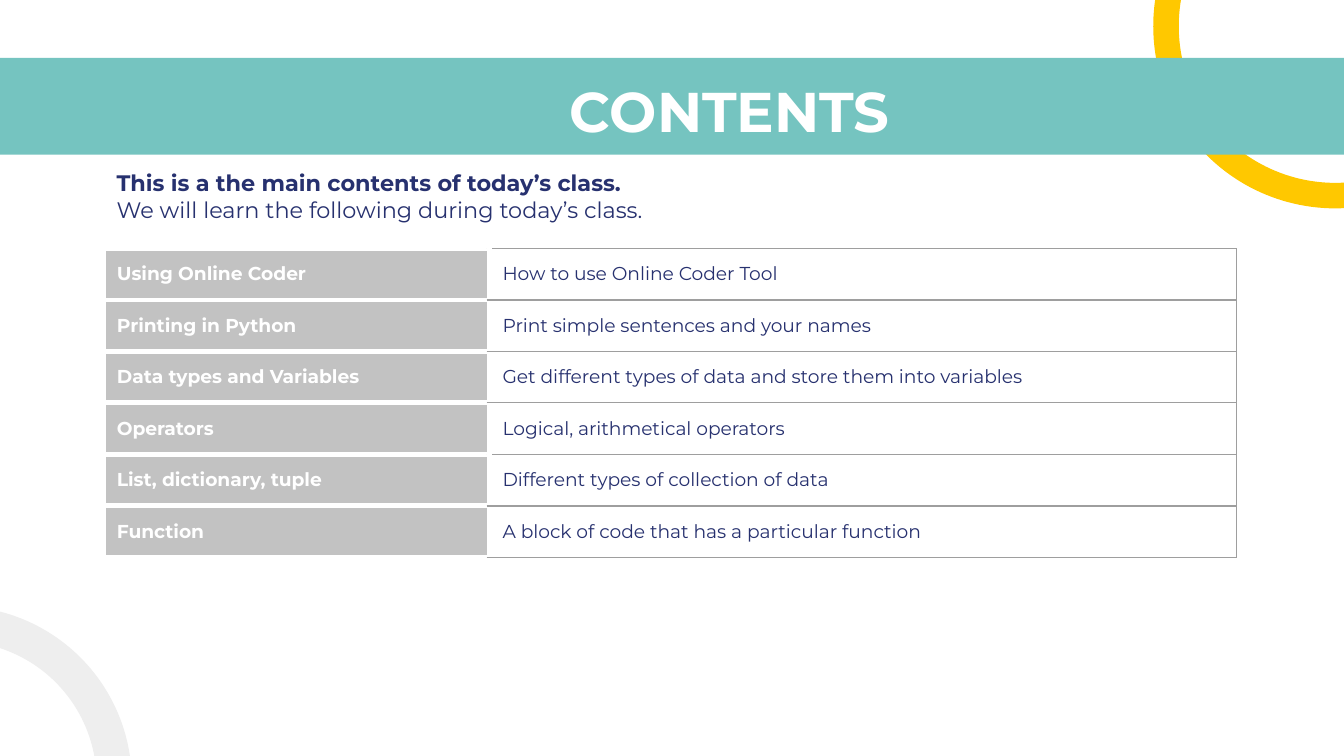
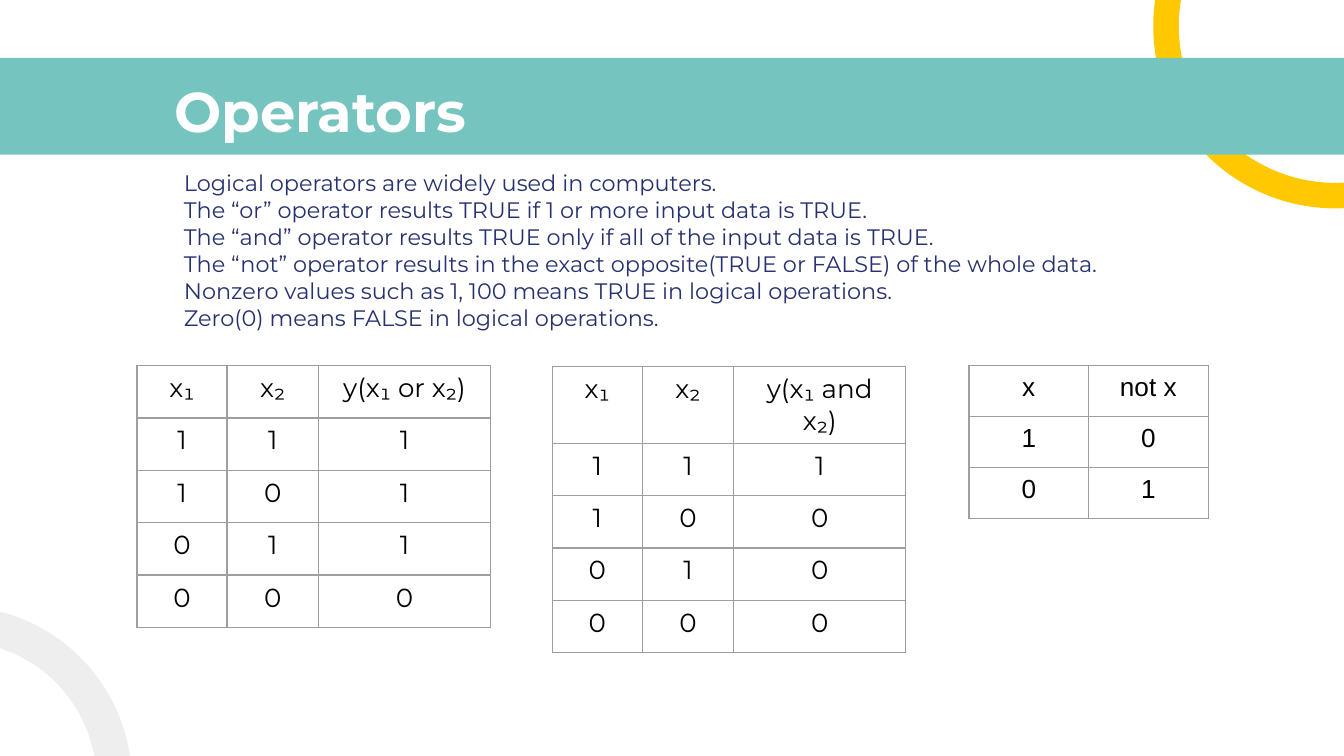
from lxml.etree import SubElement
from pptx import Presentation
from pptx.dml.color import RGBColor
from pptx.enum.shapes import MSO_SHAPE
from pptx.enum.text import MSO_ANCHOR, PP_ALIGN
from pptx.oxml.ns import qn
from pptx.util import Inches, Pt

COLORS = {
    "white": "FFFFFF",
    "teal": "75C4C0",
    "yellow": "FFC800",
    "pale": "EEEEEE",
    "navy": "27316F",
    "label": "C2C2C2",
    "rule": "9E9E9E",
    "black": "000000",
}
FONT = "Montserrat"

CONTENTS_INTRO = [
    "This is a the main contents of today’s class.",
    "We will learn the following during today’s class.",
]
# top, height, rows
TOPIC_TABLES = [
    (1.85, 1.53, [
        ("Using Online Coder", "How to use Online Coder Tool"),
        ("Printing in Python", "Print simple sentences and your names"),
        ("Data types and Variables", "Get different types of data and store them into variables"),
        ("Operators", "Logical, arithmetical operators"),
    ]),
    (3.38, 0.77, [
        ("List, dictionary, tuple", "Different types of collection of data"),
        ("Function", "A block of code that has a particular function"),
    ]),
]
TOPIC_COLUMNS = [2.87, 5.56]

OPERATOR_NOTES = [
    "Logical operators are widely used in computers.",
    "The “or” operator results TRUE if 1 or more input data is TRUE.",
    "The “and” operator results TRUE only if all of the input data is TRUE.",
    "The “not” operator results in the exact opposite(TRUE or FALSE) of the whole data.",
    "Nonzero values such as 1, 100 means TRUE in logical operations.",
    "Zero(0) means FALSE in logical operations.",
]
# left, top, row height, column widths, font, rows
TRUTH_TABLES = [
    (1.02, 2.72, 0.39, [0.67, 0.68, 1.28], FONT,
     [("x₁", "x₂", "y(x₁ or x₂)"), "111", "101", "011", "000"]),
    (4.11, 2.73, 0.39, [0.67, 0.68, 1.28], FONT,
     [("x₁", "x₂", "y(x₁ and x₂)"), "111", "100", "010", "000"]),
    (7.21, 2.72, 0.38, [0.89, 0.89], "Arial",
     [("x", "not x"), "10", "01"]),
]


def color(name):
    return RGBColor.from_string(COLORS[name])


def style_text(paragraph, size, color_name, bold=False, font=FONT):
    for run in paragraph.runs:
        run.font.name = font
        run.font.size = Pt(size)
        run.font.bold = bold
        run.font.color.rgb = color(color_name)


def add_decoration(slide, kind, box, fill, rotation=0, adjustments=()):
    shape = slide.shapes.add_shape(kind, *map(Inches, box))
    shape.shadow.inherit = False
    shape.fill.solid()
    shape.fill.fore_color.rgb = color(fill)
    shape.line.fill.background()
    shape.rotation = rotation
    for index, value in enumerate(adjustments):
        shape.adjustments[index] = value


def add_text(slide, box, lines):
    frame = slide.shapes.add_textbox(*map(Inches, box)).text_frame
    frame.word_wrap = True
    frame.margin_left = frame.margin_right = Inches(0.1)
    frame.margin_top = frame.margin_bottom = Inches(0.1)
    frame.text = "\n".join(lines)
    return frame.paragraphs


def add_base_slide(presentation, title, alignment):
    """Add a blank slide with the arcs, the band and its title."""
    slide = presentation.slides.add_slide(presentation.slide_layouts[6])
    add_decoration(slide, MSO_SHAPE.BLOCK_ARC, (8.58, -1.16, 2.71, 2.71), "yellow",
                   180, (159.04, 7.23, 0.07))
    add_decoration(slide, MSO_SHAPE.RECTANGLE, (-0.17, 0.43, 10.34, 0.72), "teal")
    add_decoration(slide, MSO_SHAPE.BLOCK_ARC, (-1.63, 4.51, 2.61, 2.61), "pale",
                   74.3, (125.82, 166.85, 0.1))
    paragraph = add_text(slide, (1.2, 0.47, 8.46, 0.63), [title])[0]
    paragraph.alignment = alignment
    style_text(paragraph, 30, "white", bold=True)
    return slide


def set_borders(cell, borders):
    """Draw left, right, top and bottom borders, each a (color name, points) pair."""
    properties = cell._tc.get_or_add_tcPr()
    for side, (color_name, width) in zip("LRTB", borders):
        line = SubElement(properties, qn(f"a:ln{side}"), w=str(Pt(width)))
        fill = SubElement(line, qn("a:solidFill"))
        SubElement(fill, qn("a:srgbClr"), val=COLORS[color_name])


def add_plain_table(slide, left, top, height, widths, rows):
    """Add an unstyled table and return its cells row by row."""
    table = slide.shapes.add_table(
        len(rows), len(widths), Inches(left), Inches(top),
        Inches(sum(widths)), Inches(height)).table
    table.first_row = table.horz_banding = False
    for column, width in zip(table.columns, widths):
        column.width = Inches(width)
    for row, values in zip(table.rows, rows):
        for cell, value in zip(row.cells, values):
            cell.text = value
    return [list(row.cells) for row in table.rows]


def add_topic_table(slide, top, height, rows):
    gap, rule = ("white", 3), ("rule", 0.75)
    for label, detail in add_plain_table(slide, 0.77, top, height, TOPIC_COLUMNS, rows):
        for cell in (label, detail):
            cell.vertical_anchor = MSO_ANCHOR.MIDDLE
            cell.margin_top = cell.margin_bottom = Inches(0.1)
        set_borders(label, [gap] * 4)
        label.fill.solid()
        label.fill.fore_color.rgb = color("label")
        style_text(label.text_frame.paragraphs[0], 10, "white", bold=True)
        set_borders(detail, [gap, rule, rule, rule])
        detail.fill.background()
        paragraph = detail.text_frame.paragraphs[0]
        paragraph.space_after = Pt(16)
        style_text(paragraph, 10, "navy")


def add_truth_table(slide, left, top, row_height, widths, font, rows):
    for cells in add_plain_table(slide, left, top, row_height * len(rows), widths, rows):
        for cell in cells:
            set_borders(cell, [("rule", 0.75)] * 4)
            cell.fill.background()
            paragraph = cell.text_frame.paragraphs[0]
            paragraph.alignment = PP_ALIGN.CENTER
            style_text(paragraph, 14, "black", font=font)


def build_contents(presentation):
    slide = add_base_slide(presentation, "CONTENTS", PP_ALIGN.CENTER)
    paragraphs = add_text(slide, (0.77, 1.16, 8.46, 0.55), CONTENTS_INTRO)
    for index, paragraph in enumerate(paragraphs):
        style_text(paragraph, 12, "navy", bold=index == 0)
    for topic_table in TOPIC_TABLES:
        add_topic_table(slide, *topic_table)


def build_operators(presentation):
    slide = add_base_slide(presentation, "Operators", PP_ALIGN.LEFT)
    for paragraph in add_text(slide, (0.77, 1.16, 8.46, 1.66), OPERATOR_NOTES):
        paragraph._p.get_or_add_pPr().set("marL", str(Inches(0.5)))
        style_text(paragraph, 12, "navy")
    for truth_table in TRUTH_TABLES:
        add_truth_table(slide, *truth_table)


def main():
    presentation = Presentation()
    presentation.slide_width = Inches(10)
    presentation.slide_height = Inches(10 * 9 / 16)
    build_contents(presentation)
    build_operators(presentation)
    presentation.save("out.pptx")


if __name__ == "__main__":
    main()
